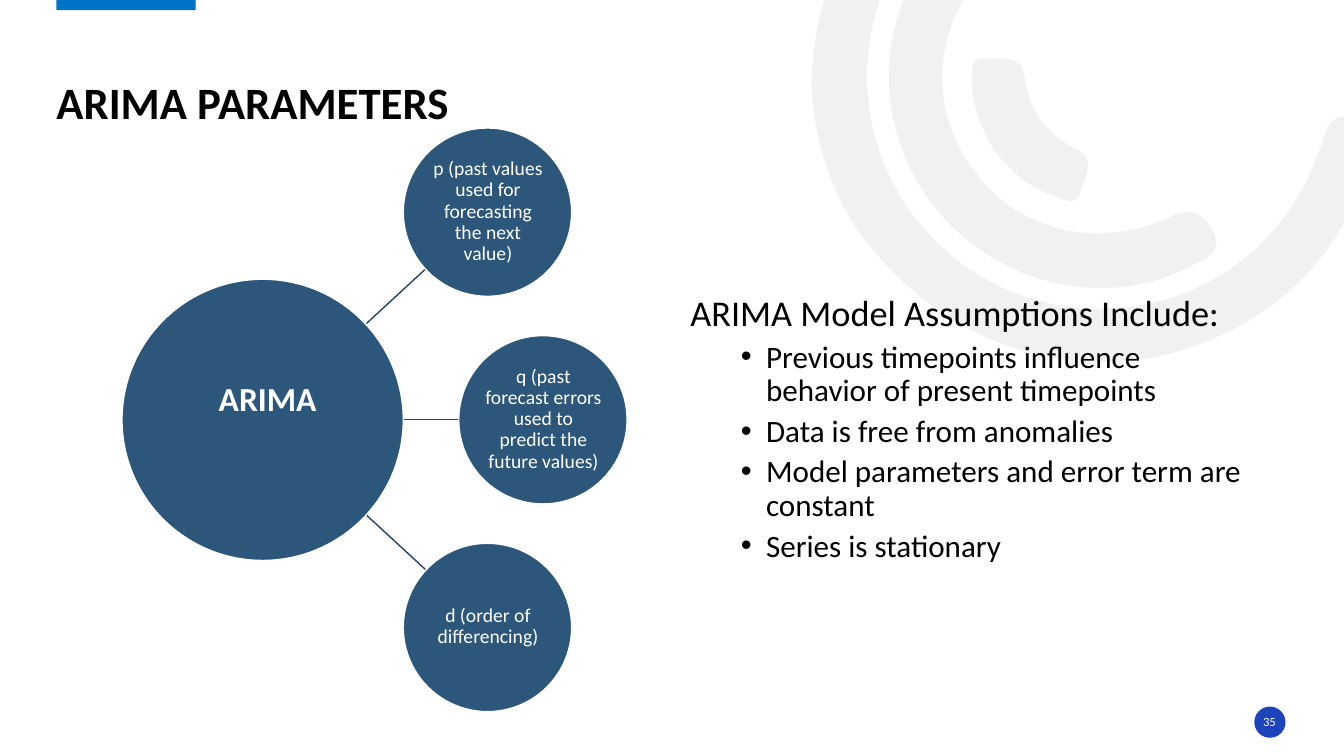
from math import cos, radians, sin

from lxml.etree import SubElement
from pptx import Presentation
from pptx.dml.color import RGBColor
from pptx.enum.shapes import MSO_CONNECTOR as Connector, MSO_SHAPE as Shape
from pptx.enum.text import MSO_ANCHOR as Anchor, PP_ALIGN as Align
from pptx.oxml.ns import qn
from pptx.util import Inches, Pt

COLORS = {
    "swirl": "E7E6E6",
    "accent": "0072C7",
    "badge": "1E44BC",
    "circle": "2C567A",
    "spoke": "234562",
    "white": "FFFFFF",
    "black": "000000",
}
FONT = "Calibri"
SWIRL_TURN = 144.2

OUTER_ARC = [
    (8.51, 2.29),
    (7.99, 1.49), (7.87, 0.5), (8.38, -0.5),
    (8.9, -1.52), (9.76, -2.03), (10.9, -2.07),
    (11.05, -2.07), (11.21, -2.1), (11.31, -1.95),
    (11.44, -1.75), (11.27, -1.54), (10.98, -1.54),
    (9.67, -1.54), (8.65, -0.59), (8.6, 0.68),
    (8.56, 1.81), (9.36, 2.81), (10.46, 3.02),
    (11.6, 3.24), (12.7, 2.61), (13.07, 1.52),
    (13.09, 1.48), (13.11, 1.44), (13.12, 1.4),
    (13.16, 1.19), (13.27, 1.11), (13.49, 1.17),
    (13.73, 1.24), (13.67, 1.41), (13.61, 1.56),
    (13.34, 2.45), (12.78, 3.07), (11.91, 3.41),
    (10.7, 3.87), (9.36, 3.45), (8.51, 2.29),
]
MIDDLE_ARC = [
    (9.22, 1.99),
    (8.62, 1.15), (8.69, 0.07), (9.4, -0.68),
    (9.51, -0.79), (9.62, -0.95), (9.8, -0.78),
    (9.95, -0.64), (9.97, -0.5), (9.79, -0.32),
    (9.25, 0.26), (9.2, 1.08), (9.65, 1.68),
    (10.08, 2.29), (10.88, 2.49), (11.61, 2.15),
    (11.82, 2.05), (11.93, 2.12), (12.03, 2.29),
    (12.13, 2.5), (11.97, 2.56), (11.83, 2.63),
    (10.96, 3.1), (9.83, 2.82), (9.22, 1.99),
]
INNER_ARC = [
    (9.87, 1.51),
    (9.75, 1.3), (9.64, 1.07), (9.64, 0.82),
    (9.64, 0.73), (9.61, 0.57), (9.76, 0.58),
    (9.92, 0.59), (10.13, 0.53), (10.16, 0.76),
    (10.21, 1.1), (10.36, 1.32), (10.67, 1.48),
    (10.88, 1.57), (10.76, 1.76), (10.72, 1.89),
    (10.68, 2.06), (10.55, 1.98), (10.45, 1.94),
    (10.21, 1.87), (10.03, 1.7), (9.87, 1.51),
]
SWIRL = [
    ((8.13, -2.02, 4.85, 6), OUTER_ARC),
    ((9.01, -0.78, 2.13, 4.26), MIDDLE_ARC),
    ((9.8, 0.37, 0.78, 1.83), INNER_ARC),
]
PARAMETERS = [
    (4, "p (past values used for forecasting the next value)"),
    (4.55, "q (past forecast errors used to predict the future values)"),
    (4, "d (order of differencing)"),
]
SPOKES = [(5.06, 4.22, 5.65), (4.16, 4.55, 4.16), (3.26, 4.22, 2.67)]
ASSUMPTIONS = [
    "Previous timepoints influence behavior of present timepoints",
    "Data is free from anomalies",
    "Model parameters and error term are constant",
    "Series is stationary",
]


def color(name):
    return RGBColor.from_string(COLORS[name])


def paint(shape, fill, line=None):
    shape.shadow.inherit = False
    shape.fill.solid()
    shape.fill.fore_color.rgb = color(fill)
    if line:
        shape.line.color.rgb = color(line)
        shape.line.width = Pt(1)
    else:
        shape.line.fill.background()


def turn_back(knot, box):
    left, top, width, height = box
    dx, dy = knot[0] - left - width / 2, knot[1] - top - height / 2
    c, s = cos(radians(SWIRL_TURN)), sin(radians(SWIRL_TURN))
    return Inches(c * dx + s * dy + width / 2), Inches(c * dy - s * dx + height / 2)


def add_arc(slide, box, knots):
    points = [turn_back(knot, box) for knot in knots]
    outline = slide.shapes.build_freeform(*points[0])
    outline.add_line_segments(points[3::3], close=True)
    arc = outline.convert_to_shape()
    arc.left, arc.top, arc.width, arc.height = map(Inches, box)
    arc.rotation = SWIRL_TURN
    curve = next(arc._element.iter(qn("a:path")))
    curve.set("w", str(arc.width))
    curve.set("h", str(arc.height))
    for segment in list(curve):
        curve.remove(segment)
    segments = [("a:moveTo", points[:1])]
    segments += [("a:cubicBezTo", points[i:i + 3]) for i in range(1, len(points), 3)]
    for tag, stops in segments:
        segment = SubElement(curve, qn(tag))
        for x, y in stops:
            SubElement(segment, qn("a:pt"), x=str(x), y=str(y))
    SubElement(curve, qn("a:close"))
    paint(arc, "swirl")
    swirl_color = arc.fill._xPr.find(qn("a:solidFill"))[0]
    SubElement(swirl_color, qn("a:alpha"), val="53000")


def add_filled(slide, kind, box, fill, line=None):
    paint(slide.shapes.add_shape(kind, *map(Inches, box)), fill, line)


def add_spoke(slide, y_hub, x_end, y_end):
    ends = map(Inches, (3.58, y_hub, x_end, y_end))
    spoke = slide.shapes.add_connector(Connector.STRAIGHT, *ends)
    spoke.line.color.rgb = color("spoke")
    spoke.line.width = Pt(1)
    SubElement(spoke._element.spPr, qn("a:effectLst"))


def add_frame(slide, box, anchor=Anchor.TOP, inset=None):
    frame = slide.shapes.add_textbox(*map(Inches, box)).text_frame
    frame.word_wrap = True
    frame.vertical_anchor = anchor
    if inset is not None:
        frame.margin_left = frame.margin_right = Inches(inset)
        frame.margin_top = frame.margin_bottom = Inches(inset)
    return frame


def write(paragraph, text, size, tint="black", bold=False, align=Align.LEFT, spacing=0.9):
    paragraph.alignment = align
    paragraph.line_spacing = spacing
    run = paragraph.add_run()
    run.text = text
    run.font.name = FONT
    run.font.size = Pt(size)
    run.font.bold = bold
    run.font.color.rgb = color(tint)


def add_assumption(frame, text):
    paragraph = frame.add_paragraph()
    paragraph.level = 1
    paragraph.space_before = Pt(5)
    properties = paragraph._p.get_or_add_pPr()
    properties.set("marL", str(Inches(0.75)))
    properties.set("indent", str(Inches(-0.25)))
    SubElement(properties, qn("a:buFont"), typeface="Arial")
    SubElement(properties, qn("a:buChar"), char="•")
    write(paragraph, text, 22.2)


def add_backdrop(slide):
    for box, knots in SWIRL:
        add_arc(slide, box, knots)
    add_filled(slide, Shape.RECTANGLE, (0.56, -0.02, 1.38, 0.12), "accent")
    add_filled(slide, Shape.OVAL, (12.44, 7.01, 0.31, 0.31), "badge")
    number = add_frame(slide, (12.43, 7.06, 0.32, 0.2), Anchor.MIDDLE, 0)
    write(number.paragraphs[0], "35", 9, "white", align=Align.CENTER, spacing=1.0)


def add_diagram(slide):
    for spoke in SPOKES:
        add_spoke(slide, *spoke)
    add_filled(slide, Shape.OVAL, (1.21, 2.77, 2.79, 2.79), "circle", "white")
    for row, (left, meaning) in enumerate(PARAMETERS):
        top = 1.27 + 2.06 * row
        add_filled(slide, Shape.OVAL, (left, top, 1.67, 1.67), "circle", "white")
        label = add_frame(slide, (left + 0.25, top + 0.24, 1.18, 1.18), Anchor.MIDDLE, 0.01)
        write(label.paragraphs[0], meaning, 14, "white", align=Align.CENTER)
    hub = add_frame(slide, (1.29, 3.7, 2.73, 0.5))
    write(hub.paragraphs[0], "ARIMA", 24, "white", True, Align.CENTER, 1.0)


def main():
    deck = Presentation()
    deck.slide_width, deck.slide_height = Inches(13.33), Inches(7.5)
    slide = deck.slides.add_slide(deck.slide_layouts[6])
    add_backdrop(slide)
    body = add_frame(slide, (6.75, 2.88, 5.67, 3))
    write(body.paragraphs[0], "ARIMA Model Assumptions Include:", 25.9)
    for assumption in ASSUMPTIONS:
        add_assumption(body, assumption)
    title = add_frame(slide, (0.56, 0.27, 12.19, 1.01), Anchor.BOTTOM, 0)
    write(title.paragraphs[0], "ARIMA PARAMETERS", 32, bold=True)
    add_diagram(slide)
    deck.save("out.pptx")


if __name__ == "__main__":
    main()
